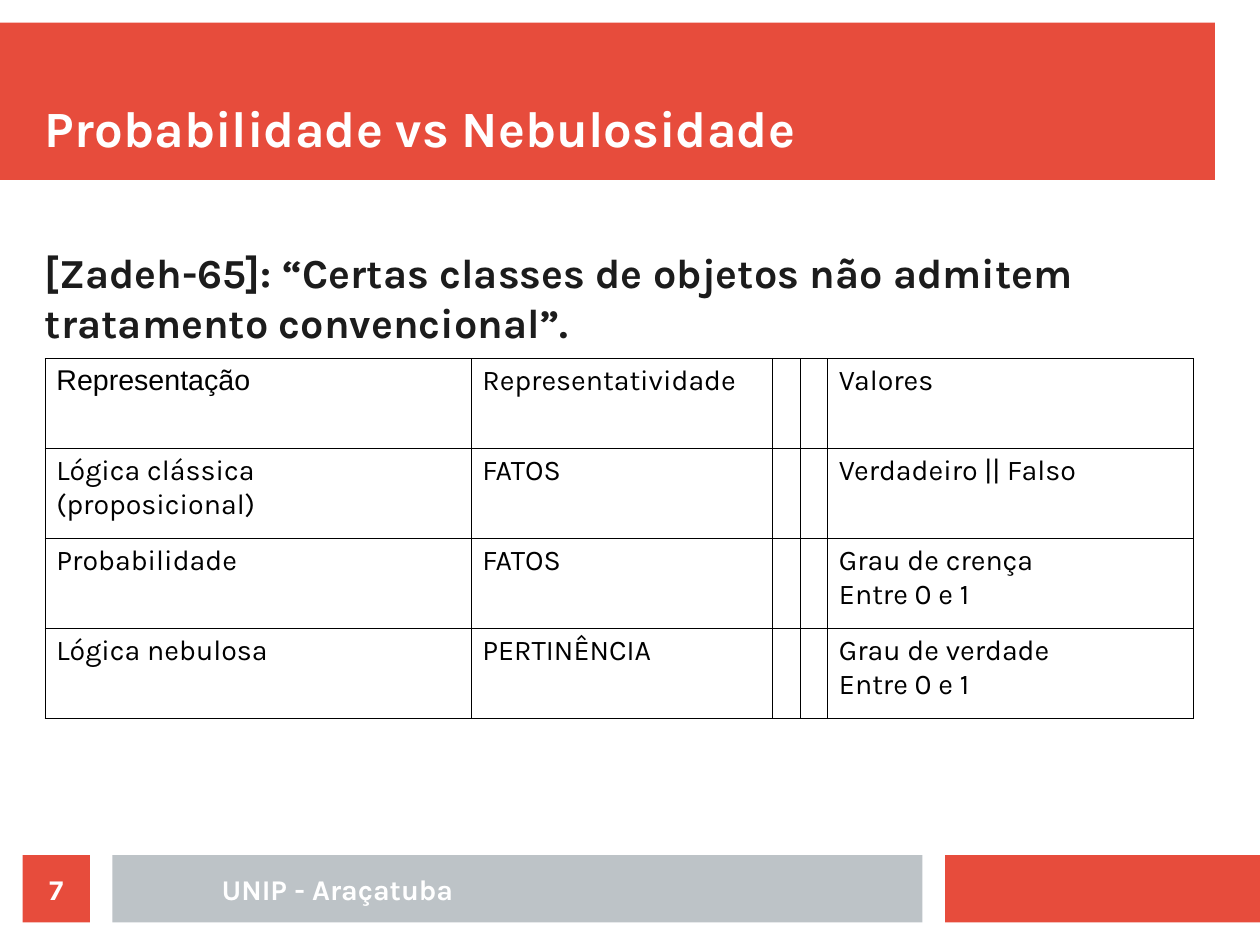
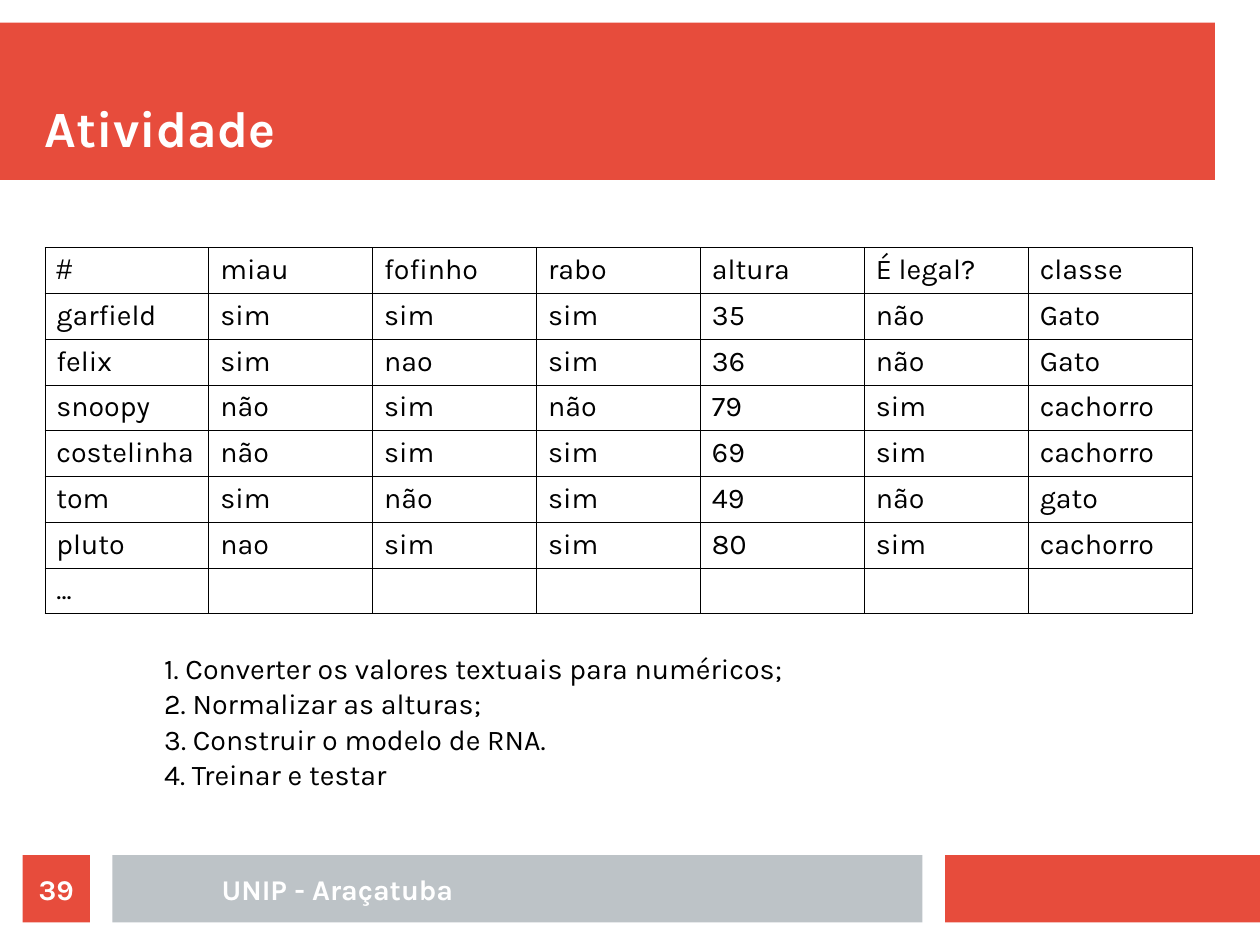
from lxml import etree
from pptx import Presentation
from pptx.dml.color import RGBColor
from pptx.enum.shapes import MSO_SHAPE
from pptx.enum.text import MSO_ANCHOR, PP_ALIGN
from pptx.oxml.ns import qn
from pptx.util import Pt

RECT = MSO_SHAPE.RECTANGLE
TOP, MIDDLE, BOTTOM = MSO_ANCHOR.TOP, MSO_ANCHOR.MIDDLE, MSO_ANCHOR.BOTTOM
LEFT, CENTER = PP_ALIGN.LEFT, PP_ALIGN.CENTER

RED = RGBColor(0xE7, 0x4C, 0x3C)
GRAY = RGBColor(0xBD, 0xC3, 0xC7)
WHITE = RGBColor(0xFF, 0xFF, 0xFF)
INK = RGBColor(0x1C, 0x1C, 0x1C)
BLACK = RGBColor(0, 0, 0)

WIDTH, HEIGHT = 793.7, 595.3
MARGIN = 28.35
CONTENT_W = 722.8
BODY_TOP = 156
FOOT_TOP, FOOT_H = 538.6, 42.5

TITLE = {"name": "Karla", "size": Pt(32), "bold": True, "color": WHITE}
LEAD = {"name": "Karla", "size": Pt(26), "bold": True, "color": INK}
FOOT = {"name": "Karla", "size": Pt(18), "bold": True, "color": WHITE}
PLAIN = {"name": "Karla", "size": Pt(18), "bold": False, "color": BLACK}
CORNER = {**PLAIN, "name": "Arial"}

REPRESENTATIONS = [
    ["Representação", "Representatividade", "", "", "Valores"],
    ["Lógica clássica (proposicional)", "FATOS", "", "", "Verdadeiro || Falso"],
    ["Probabilidade", "FATOS", "", "", "Grau de crença\nEntre 0 e 1"],
    ["Lógica nebulosa", "PERTINÊNCIA", "", "", "Grau de verdade\nEntre 0 e 1"],
]
ANIMALS = [
    ["#", "miau", "fofinho", "rabo", "altura", "É legal?", "classe"],
    ["garfield", "sim", "sim", "sim", "35", "não", "Gato"],
    ["felix", "sim", "nao", "sim", "36", "não", "Gato"],
    ["snoopy", "não", "sim", "não", "79", "sim", "cachorro"],
    ["costelinha", "não", "sim", "sim", "69", "sim", "cachorro"],
    ["tom", "sim", "não", "sim", "49", "não", "gato"],
    ["pluto", "nao", "sim", "sim", "80", "sim", "cachorro"],
    ["..."] + [""] * 6,
]
TASKS = [
    "1. Converter os valores textuais para numéricos;",
    "2. Normalizar as alturas;",
    "3. Construir o modelo de RNA.",
    "4. Treinar e testar",
]


def write(tf, lines, style, align=LEFT, spacing=None):
    """Fill a text frame with one paragraph per line in the given style."""
    for i, line in enumerate(lines):
        p = tf.paragraphs[0] if i == 0 else tf.add_paragraph()
        p.alignment = align
        if spacing:
            p.line_spacing = spacing
        if not line:
            continue
        r = p.add_run()
        r.text = line
        for key, value in style.items():
            if key == "color":
                r.font.color.rgb = value
            else:
                setattr(r.font, key, value)


def frame(tf, anchor, insets=(0, 0)):
    """Set wrapping, anchor and horizontal and vertical insets."""
    dx, dy = map(Pt, insets)
    settings = {"word_wrap": True, "vertical_anchor": anchor, "margin_left": dx,
                "margin_right": dx, "margin_top": dy, "margin_bottom": dy}
    for key, value in settings.items():
        setattr(tf, key, value)
    return tf


def add_text(s, box, lines, style, anchor=TOP, align=LEFT, insets=(0, 0), spacing=None):
    """Place a text box."""
    sp = s.shapes.add_textbox(*map(Pt, box))
    write(frame(sp.text_frame, anchor, insets), lines, style, align, spacing)


def add_band(s, box, color):
    """Place a plain filled rectangle and return it."""
    sp = s.shapes.add_shape(RECT, *map(Pt, box))
    sp.shadow.inherit = False
    sp.fill.solid()
    sp.fill.fore_color.rgb = color
    sp.line.fill.background()
    return sp


def add_border(cell):
    """Draw thin black lines on all four sides of a cell."""
    tc_pr = cell._tc.get_or_add_tcPr()
    for i, side in enumerate(("a:lnL", "a:lnR", "a:lnT", "a:lnB")):
        ln = etree.Element(qn(side), w=str(Pt(0.57)))
        fill = etree.SubElement(ln, qn("a:solidFill"))
        etree.SubElement(fill, qn("a:srgbClr"), val=str(BLACK))
        tc_pr.insert(i, ln)


def add_grid(s, box, rows, widths):
    """Place a bordered table with equal rows in the box."""
    gf = s.shapes.add_table(len(rows), len(widths), *map(Pt, box))
    table = gf.table
    table.first_row = table.horz_banding = False
    for column, width in zip(table.columns, widths):
        column.width = Pt(width)
    for i, row in enumerate(rows):
        table.rows[i].height = Pt(box[3] / len(rows))
        for j, text in enumerate(row):
            cell = table.cell(i, j)
            cell.fill.background()
            add_border(cell)
            write(cell.text_frame, text.split("\n"), PLAIN if i or j else CORNER)


def add_header(s, box, title):
    """Draw the title band with its title at the lower left."""
    x, y, w, h = box
    add_band(s, box, RED)
    add_text(s, (MARGIN, y + 14.2, w - MARGIN, h - 28.4), [title], TITLE, BOTTOM)


def add_footer(s, box, number):
    """Draw the footer bands, the school name and the page number."""
    x, y, w, h = box
    add_band(s, (x + 595.3, y, w - 595.3, h), RED)
    add_band(s, (x + 70.85, y, 510.25, h), GRAY)
    add_text(s, (x + 85, y, 255.1, h), ["UNIP - Araçatuba"], FOOT, MIDDLE, CENTER)
    sp = add_band(s, (x + 14.2, y, h, h), RED)
    write(frame(sp.text_frame, MIDDLE), [str(number)], FOOT, CENTER)


def add_page(prs, title, number):
    """Add a blank slide with the shared header and footer."""
    s = prs.slides.add_slide(prs.slide_layouts[6])
    add_header(s, (0, 14.2, 765.35, 99.2), title)
    add_footer(s, (0, FOOT_TOP, WIDTH, FOOT_H), number)
    return s


def fuzzy_body(s, box):
    """Place the quotation and the table of representations."""
    x, y, w, h = box
    quote = "[Zadeh-65]: “Certas classes de objetos não admitem tratamento convencional”."
    add_text(s, (x, y, w, 64), [quote], LEAD)
    fixed = [268.3, 190.2, 17, 17]
    add_grid(s, (x, y + 70, w, 226.8), REPRESENTATIONS, fixed + [w - sum(fixed)])


def activity_body(s, box):
    """Place the animal table and the list of tasks."""
    x, y, w, h = box
    columns = len(ANIMALS[0])
    add_grid(s, (x, y, w, 226.8), ANIMALS, [w / columns] * columns)
    add_text(s, (x + 68, y + 250, 455, 100), TASKS, PLAIN, insets=(7.2, 3.6), spacing=1.03)


def main():
    """Build and save the two slides."""
    prs = Presentation()
    prs.slide_width, prs.slide_height = Pt(WIDTH), Pt(HEIGHT)
    pages = [("Probabilidade vs Nebulosidade", 7, fuzzy_body),
             ("Atividade", 39, activity_body)]
    for title, number, body in pages:
        s = add_page(prs, title, number)
        body(s, (MARGIN, BODY_TOP, CONTENT_W, FOOT_TOP - BODY_TOP))
    prs.save("out.pptx")


if __name__ == "__main__":
    main()
